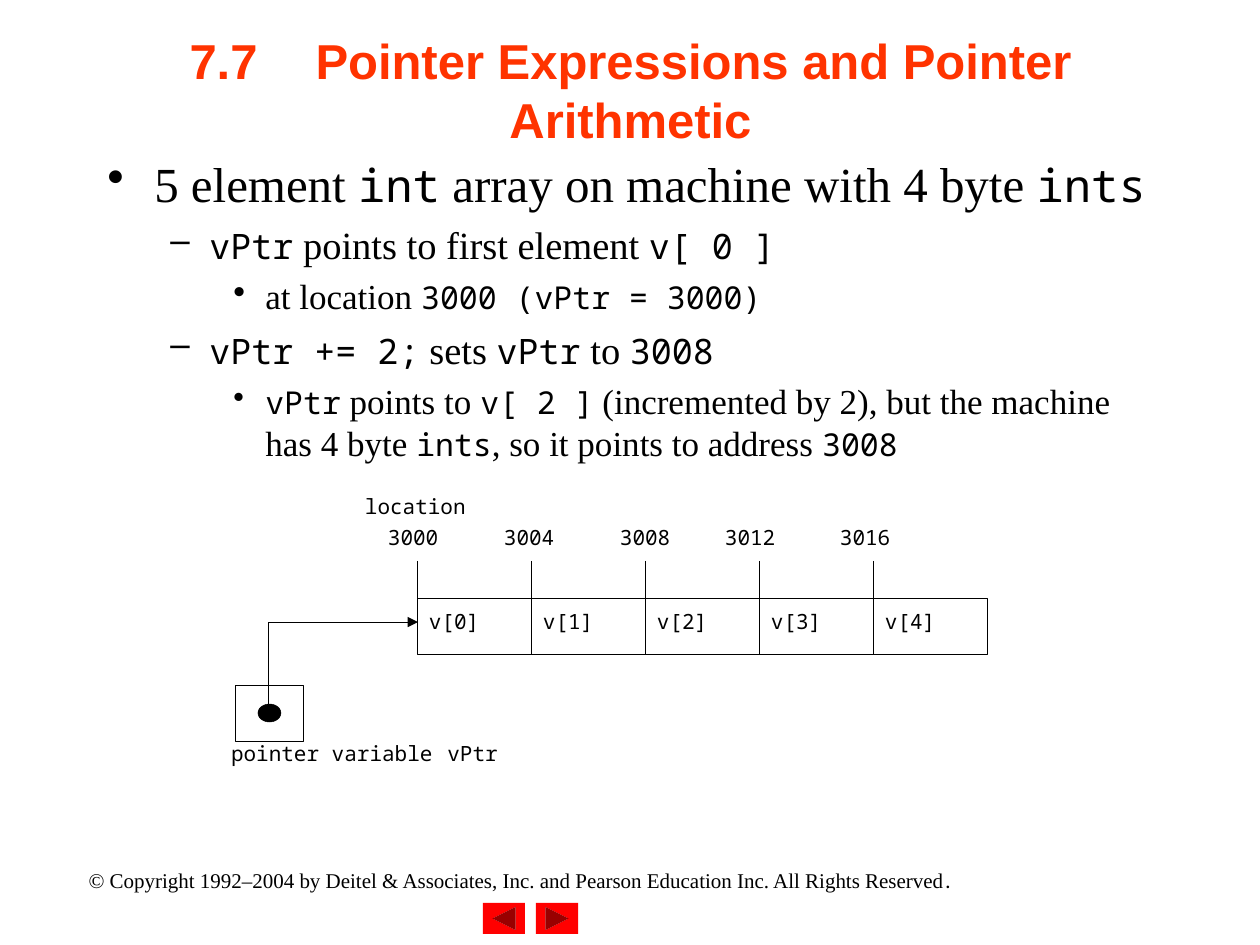
from lxml import etree
from pptx import Presentation
from pptx.dml.color import RGBColor
from pptx.enum.shapes import MSO_CONNECTOR, MSO_SHAPE
from pptx.enum.text import MSO_ANCHOR, PP_ALIGN
from pptx.oxml.ns import qn
from pptx.util import Inches, Pt

BLACK = RGBColor(0x00, 0x00, 0x00)
RED = RGBColor(0xFF, 0x00, 0x00)
ORANGE = RGBColor(0xFF, 0x33, 0x00)
SERIF, SANS, MONO = "Times New Roman", "Arial", "Noto Sans Mono"
PX = Inches(1) / 126
LEVELS = [(47, 47, "•", 28, 26, 6.5), (102, 39, "–", 22, 20, 5), (158, 32, "•", 20, 18, 4.5)]


def px(n):
    return round(n * PX)


class Deck:
    def __init__(self, slide, line_width=0.25):
        self.slide = slide
        self.shapes = slide.shapes
        self.line_width = Pt(line_width)

    def box(self, x, y, w, h, inset=True):
        sp = self.shapes.add_textbox(px(x), px(y), px(w), px(h))
        tf = sp.text_frame
        tf.word_wrap = True
        if not inset:
            tf.margin_left = tf.margin_right = tf.margin_top = tf.margin_bottom = 0
        return tf

    def runs(self, p, parts, color=BLACK, bold=False):
        for text, font, size in parts:
            r = p.add_run()
            r.text = text
            r.font.name = font
            r.font.size = Pt(size)
            r.font.bold = bold
            r.font.color.rgb = color

    def label(self, x, y, w, *parts):
        tf = self.box(x, y, w, 40, inset=False)
        self.runs(tf.paragraphs[0], parts)

    def title(self, x, y, w, h, text):
        tf = self.box(x, y, w, h)
        tf.vertical_anchor = MSO_ANCHOR.MIDDLE
        p = tf.paragraphs[0]
        p.alignment = PP_ALIGN.CENTER
        tabs = etree.SubElement(p._p.get_or_add_pPr(), qn("a:tabLst"))
        for i in range(8):
            etree.SubElement(tabs, qn("a:tab"), pos=str(Inches(i)), algn="l")
        self.runs(p, [(text, SANS, 28)], ORANGE, True)

    def bullets(self, x, y, w, h, items):
        tf = self.box(x, y, w, h)
        for i, (level, text) in enumerate(items):
            p = tf.add_paragraph() if i else tf.paragraphs[0]
            margin, hang, char, size, code_size, before = LEVELS[level]
            p.level = level
            pPr = p._p.get_or_add_pPr()
            pPr.set("marL", str(px(margin)))
            pPr.set("indent", str(-px(hang)))
            etree.SubElement(pPr, qn("a:buChar"), char=char)
            if i:
                p.space_before = Pt(before)
            styles = [(SERIF, size), (MONO, code_size)]
            self.runs(p, [(part, *styles[j % 2])
                          for j, part in enumerate(text.split("|")) if part])

    def shape(self, kind, x, y, w, h, fill=None, line=BLACK):
        sp = self.shapes.add_shape(kind, px(x), px(y), px(w), px(h))
        self.paint(sp, fill, line)
        return sp

    def paint(self, sp, fill, line):
        sp.shadow.inherit = False
        if fill is None:
            sp.fill.background()
        else:
            sp.fill.solid()
            sp.fill.fore_color.rgb = fill
        if line is None:
            sp.line.fill.background()
        else:
            sp.line.color.rgb = line
            sp.line.width = self.line_width

    def line(self, x1, y1, x2, y2):
        cn = self.shapes.add_connector(MSO_CONNECTOR.STRAIGHT, px(x1), px(y1), px(x2), px(y2))
        cn.line.color.rgb = BLACK
        cn.line.width = self.line_width
        etree.SubElement(cn._element.spPr, qn("a:effectLst"))

    def arrow(self, tip, *points):
        fb = self.shapes.build_freeform(*tip, scale=PX)
        fb.add_line_segments(points, close=False)
        sp = fb.convert_to_shape()
        self.paint(sp, None, BLACK)
        etree.SubElement(sp.line._get_or_add_ln(), qn("a:headEnd"), type="triangle")


def main():
    prs = Presentation()
    prs.slide_width, prs.slide_height = Inches(10), Inches(7.5)
    s = Deck(prs.slides.add_slide(prs.slide_layouts[6]))

    for x, rotation in ((536, 0), (483, 180)):
        button = s.shape(MSO_SHAPE.ACTION_BUTTON_FORWARD_OR_NEXT, x, 903, 42, 31, RED, None)
        button.rotation = rotation
    footer = s.box(63, 861, 914, 38).paragraphs[0]
    footer.alignment = PP_ALIGN.CENTER
    s.runs(footer, [
        ("© Copyright 1992–2004 by Deitel & Associates, Inc. and Pearson Education Inc. "
         "All Rights Reserved", SERIF, 12),
        (".", "League Spartan", 12),
    ])

    s.title(95, 10, 1071, 158, "7.7\tPointer Expressions and Pointer Arithmetic")
    s.bullets(95, 147, 1071, 746, [
        (0, "5 element |int| array on machine with 4 byte |ints"),
        (1, "|vPtr| points to first element |v[ 0 ]"),
        (2, "at location |3000 (vPtr = 3000)"),
        (1, "|vPtr += 2;| sets |vPtr| to |3008"),
        (2, "|vPtr| points to |v[ 2 ]| (incremented by 2), but the machine has 4 byte |ints|"
            ", so it points to address |3008"),
    ])

    s.label(231, 737, 399, ("pointer variable", MONO, 12), (" ", "Courier New", 14),
            ("vPtr", MONO, 12))
    s.shape(MSO_SHAPE.RECTANGLE, 235, 685, 68, 56)
    s.shape(MSO_SHAPE.OVAL, 258, 704, 23, 18, BLACK)

    s.label(365, 494, 154, ("location", MONO, 12))
    for i, address_x in enumerate((388, 504, 620, 725, 840)):
        x = 417 + 114 * i
        s.shape(MSO_SHAPE.RECTANGLE, x, 598, 114, 56)
        s.label(x + 12, 609, 90, (f"v[{i}]", MONO, 12))
        s.line(x, 561, x, 598)
        s.label(address_x, 525, 90, (str(3000 + 4 * i), MONO, 12))
    s.arrow((418, 622), (268, 622), (268, 705))

    prs.save("out.pptx")


if __name__ == "__main__":
    main()
